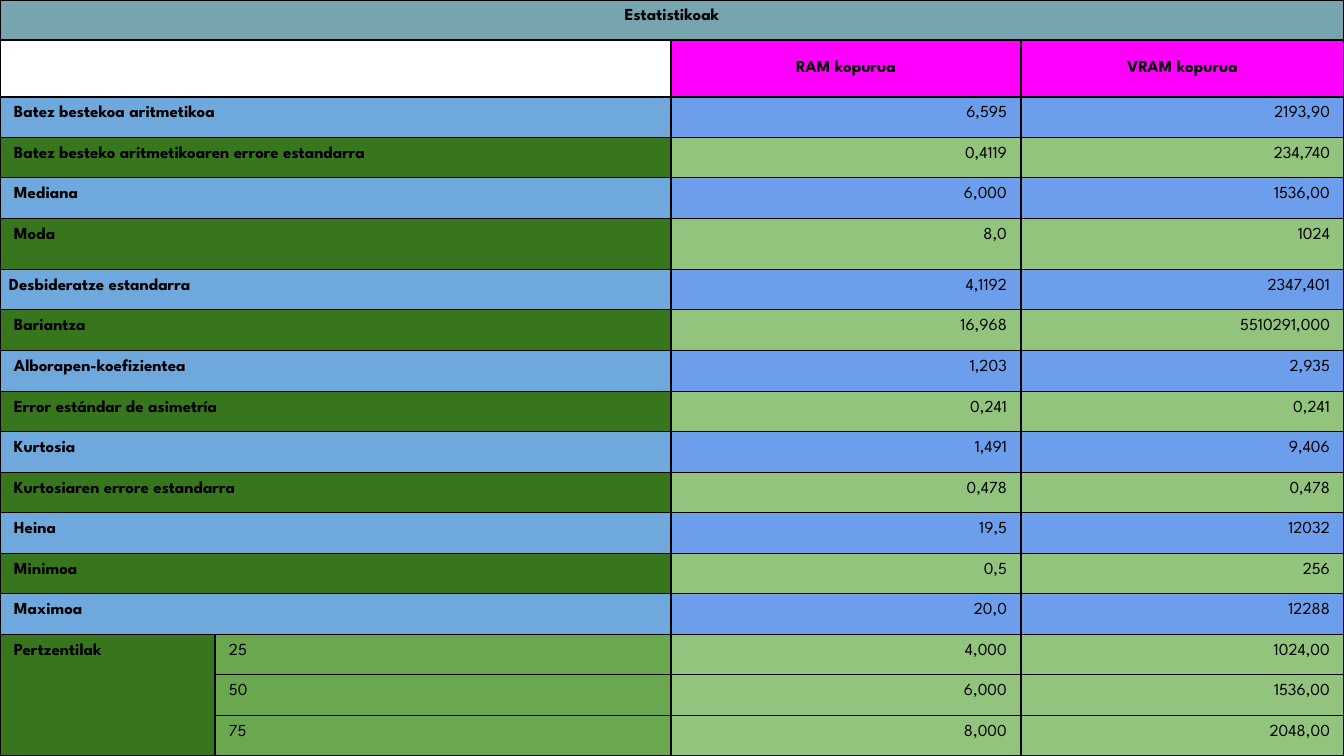
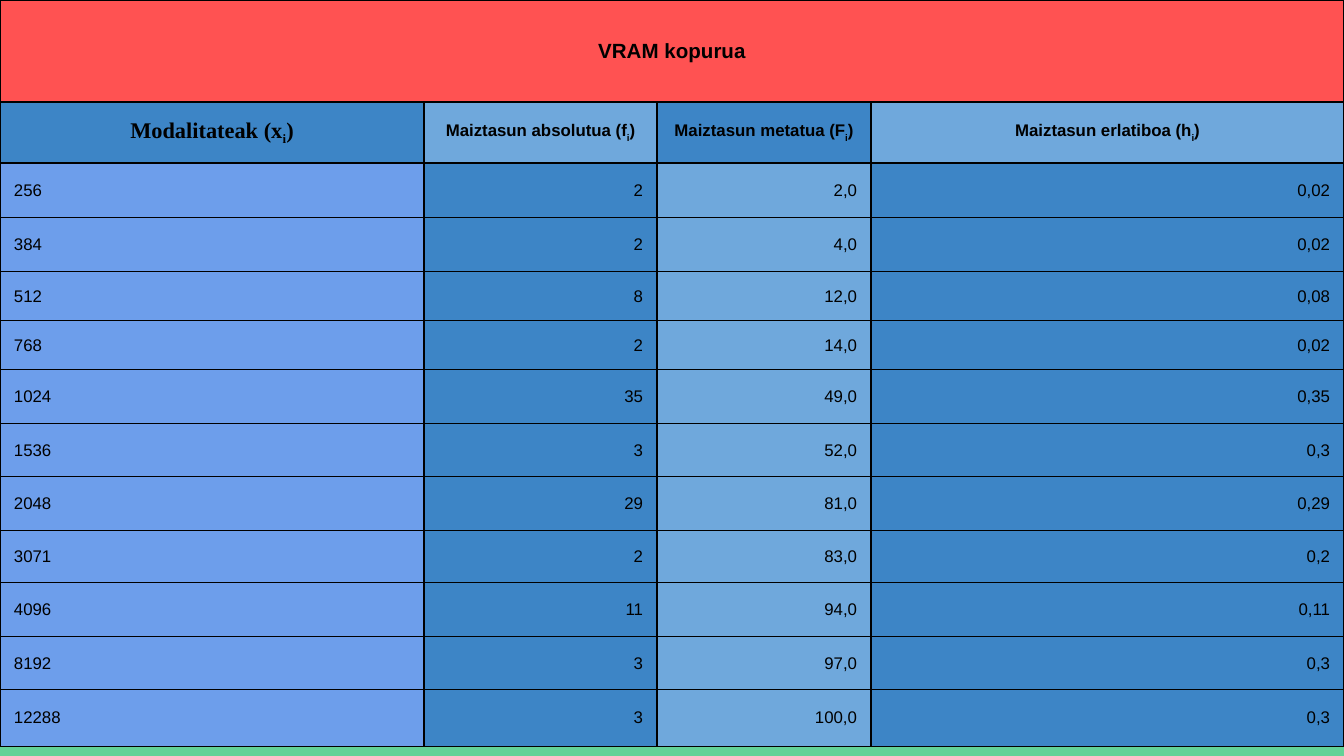
from dataclasses import dataclass
from itertools import pairwise

from lxml import etree
from pptx import Presentation
from pptx.dml.color import RGBColor
from pptx.enum.shapes import MSO_SHAPE
from pptx.enum.text import MSO_ANCHOR, PP_ALIGN
from pptx.oxml.ns import qn
from pptx.util import Pt

RECTANGLE = MSO_SHAPE.RECTANGLE
TOP, MIDDLE = MSO_ANCHOR.TOP, MSO_ANCHOR.MIDDLE
LEFT, CENTER, RIGHT = PP_ALIGN.LEFT, PP_ALIGN.CENTER, PP_ALIGN.RIGHT

EMU_PER_INCH, PX_PER_INCH = 914400, 134.4
SLIDE_WIDTH, SLIDE_HEIGHT = 1344, 756
FOOTER_TOP = 742
CELL_INSET, TEXT_INDENT = 9, 5


@dataclass(frozen=True)
class Theme:
    ink: str = "000000"
    blank: str = "FFFFFF"
    footer: str = "63D297"
    teal: str = "76A5AF"
    magenta: str = "FF00FF"
    red: str = "FF5252"
    sky: str = "6FA8DC"
    cornflower: str = "6D9EEB"
    ocean: str = "3D85C6"
    forest: str = "38761D"
    leaf: str = "6AA84F"
    mint: str = "93C47D"
    summary_font: str = "League Spartan"
    frequency_font: str = "Arial"
    category_font: str = "Times New Roman"
    body_size: int = 9
    title_size: int = 11
    category_size: int = 12
    border_width: float = 0.75


THEME = Theme()

SUMMARY_TITLE = "Estatistikoak"
SUMMARY_VARIABLES = ("RAM kopurua", "VRAM kopurua")
STATISTICS = [
    ("Batez bestekoa aritmetikoa", "6,595", "2193,90"),
    ("Batez besteko aritmetikoaren errore estandarra", "0,4119", "234,740"),
    ("Mediana", "6,000", "1536,00"),
    ("Moda", "8,0", "1024"),
    ("Desbideratze estandarra", "4,1192", "2347,401"),
    ("Bariantza", "16,968", "5510291,000"),
    ("Alborapen-koefizientea", "1,203", "2,935"),
    ("Error estándar de asimetría", "0,241", "0,241"),
    ("Kurtosia", "1,491", "9,406"),
    ("Kurtosiaren errore estandarra", "0,478", "0,478"),
    ("Heina", "19,5", "12032"),
    ("Minimoa", "0,5", "256"),
    ("Maximoa", "20,0", "12288"),
]
UNINDENTED_STATISTIC = "Desbideratze estandarra"
PERCENTILES_LABEL = "Pertzentilak"
PERCENTILES = [
    ("25", "4,000", "1024,00"),
    ("50", "6,000", "1536,00"),
    ("75", "8,000", "2048,00"),
]
SUMMARY_COLUMN_EDGES = (0, 215, 671, 1021, 1344)
SUMMARY_ROW_EDGES = (0, 40, 97, 138, 178, 219, 270, 310, 351, 392, 432,
                     473, 513, 554, 594, 635, 675, 716, 756)

FREQUENCY_TITLE = "VRAM kopurua"
FREQUENCY_HEADINGS = ("Modalitateak (x", "Maiztasun absolutua (f",
                      "Maiztasun metatua (F", "Maiztasun erlatiboa (h")
FREQUENCIES = [
    ("256", "2", "2,0", "0,02"),
    ("384", "2", "4,0", "0,02"),
    ("512", "8", "12,0", "0,08"),
    ("768", "2", "14,0", "0,02"),
    ("1024", "35", "49,0", "0,35"),
    ("1536", "3", "52,0", "0,3"),
    ("2048", "29", "81,0", "0,29"),
    ("3071", "2", "83,0", "0,2"),
    ("4096", "11", "94,0", "0,11"),
    ("8192", "3", "97,0", "0,3"),
    ("12288", "3", "100,0", "0,3"),
]
FREQUENCY_COLUMN_EDGES = (0, 424, 657, 871, 1344)
FREQUENCY_ROW_EDGES = (0, 102, 163, 218, 272, 321, 370, 424,
                       477, 531, 583, 637, 690, 747)


def px(length):
    return round(length * EMU_PER_INCH / PX_PER_INCH)


def rgb(color):
    return RGBColor.from_string(color)


def add_footer_band(slide):
    band = slide.shapes.add_shape(RECTANGLE, 0, px(FOOTER_TOP), px(SLIDE_WIDTH),
                                  px(SLIDE_HEIGHT - FOOTER_TOP))
    band.shadow.inherit = False
    band.fill.solid()
    band.fill.fore_color.rgb = rgb(THEME.footer)
    band.line.fill.background()


def add_borders(cell):
    properties = cell._tc.get_or_add_tcPr()
    for position, side in enumerate(("lnL", "lnR", "lnT", "lnB")):
        border = etree.Element(qn(f"a:{side}"), w=str(Pt(THEME.border_width)))
        fill = etree.SubElement(border, qn("a:solidFill"))
        etree.SubElement(fill, qn("a:srgbClr"), val=THEME.ink)
        properties.insert(position, border)


def add_grid(slide, column_edges, row_edges):
    """Add a bordered, unstyled table whose lines fall on the given edges."""
    table = slide.shapes.add_table(
        len(row_edges) - 1, len(column_edges) - 1, 0, 0,
        px(column_edges[-1]), px(row_edges[-1])).table
    table.first_row = table.horz_banding = False
    for column, (start, end) in zip(table.columns, pairwise(column_edges)):
        column.width = px(end - start)
    for row, (start, end) in zip(table.rows, pairwise(row_edges)):
        row.height = px(end - start)
    for cell in table.iter_cells():
        cell.margin_left = cell.margin_right = px(CELL_INSET)
        cell.margin_top = cell.margin_bottom = px(CELL_INSET)
        # Empty cells need a small type size too, or they stretch their row.
        end_mark = cell.text_frame.paragraphs[0]._p.get_or_add_endParaRPr()
        end_mark.set("sz", str(THEME.body_size * 100))
        add_borders(cell)
    return table


def paint(cell, color):
    cell.fill.solid()
    cell.fill.fore_color.rgb = rgb(color)


def write(cell, text, color, font, align=LEFT, anchor=TOP, bold=False,
          size=THEME.body_size, indent=TEXT_INDENT, subscript=""):
    """Fill and letter a cell; a subscript is followed by a closing bracket."""
    paint(cell, color)
    cell.vertical_anchor = anchor
    paragraph = cell.text_frame.paragraphs[0]
    paragraph.text = text
    paragraph.alignment = align
    for side in ("marL", "marR"):
        paragraph._p.get_or_add_pPr().set(side, str(px(indent)))
    if subscript:
        index = paragraph.add_run()
        index.text = subscript
        index.font._element.set("baseline", "-25000")
        paragraph.add_run().text = ")"
    for run in paragraph.runs:
        run.font.name = font
        run.font.size = Pt(size)
        run.font.bold = bold
        run.font.color.rgb = rgb(THEME.ink)


def build_summary(slide):
    table = add_grid(slide, SUMMARY_COLUMN_EDGES, SUMMARY_ROW_EDGES)
    font = THEME.summary_font

    def write_values(row, values, color):
        for column, value in enumerate(values, start=2):
            write(table.cell(row, column), value, color, font, RIGHT)

    table.cell(0, 0).merge(table.cell(0, 3))
    write(table.cell(0, 0), SUMMARY_TITLE, THEME.teal, font, CENTER, bold=True)

    table.cell(1, 0).merge(table.cell(1, 1))
    paint(table.cell(1, 0), THEME.blank)
    for column, variable in enumerate(SUMMARY_VARIABLES, start=2):
        write(table.cell(1, column), variable, THEME.magenta, font, CENTER,
              MIDDLE, bold=True)

    stripes = ((THEME.sky, THEME.cornflower), (THEME.forest, THEME.mint))
    for row, (label, *values) in enumerate(STATISTICS, start=2):
        label_color, value_color = stripes[row % 2]
        table.cell(row, 0).merge(table.cell(row, 1))
        write(table.cell(row, 0), label, label_color, font, bold=True,
              indent=0 if label == UNINDENTED_STATISTIC else TEXT_INDENT)
        write_values(row, values, value_color)

    first = 2 + len(STATISTICS)
    table.cell(first, 0).merge(table.cell(first + len(PERCENTILES) - 1, 0))
    write(table.cell(first, 0), PERCENTILES_LABEL, THEME.forest, font, bold=True)
    for row, (percentile, *values) in enumerate(PERCENTILES, start=first):
        write(table.cell(row, 1), percentile, THEME.leaf, font)
        write_values(row, values, THEME.mint)


def build_frequencies(slide):
    table = add_grid(slide, FREQUENCY_COLUMN_EDGES, FREQUENCY_ROW_EDGES)
    font = THEME.frequency_font

    table.cell(0, 0).merge(table.cell(0, 3))
    write(table.cell(0, 0), FREQUENCY_TITLE, THEME.red, font, CENTER, MIDDLE,
          bold=True, size=THEME.title_size)

    heading_colors = (THEME.ocean, THEME.sky) * 2
    for column, heading in enumerate(FREQUENCY_HEADINGS):
        is_category = column == 0
        write(table.cell(1, column), heading, heading_colors[column],
              THEME.category_font if is_category else font, CENTER, MIDDLE,
              bold=True, subscript="i",
              size=THEME.category_size if is_category else THEME.body_size,
              indent=0 if is_category else TEXT_INDENT)

    value_colors = (THEME.cornflower, THEME.ocean, THEME.sky, THEME.ocean)
    for row, values in enumerate(FREQUENCIES, start=2):
        for column, value in enumerate(values):
            write(table.cell(row, column), value, value_colors[column], font,
                  RIGHT if column else LEFT, MIDDLE)


def main():
    presentation = Presentation()
    presentation.slide_width = px(SLIDE_WIDTH)
    presentation.slide_height = px(SLIDE_HEIGHT)
    blank_layout = presentation.slide_layouts[6]
    for build in (build_summary, build_frequencies):
        slide = presentation.slides.add_slide(blank_layout)
        add_footer_band(slide)
        build(slide)
    presentation.save("out.pptx")


if __name__ == "__main__":
    main()
